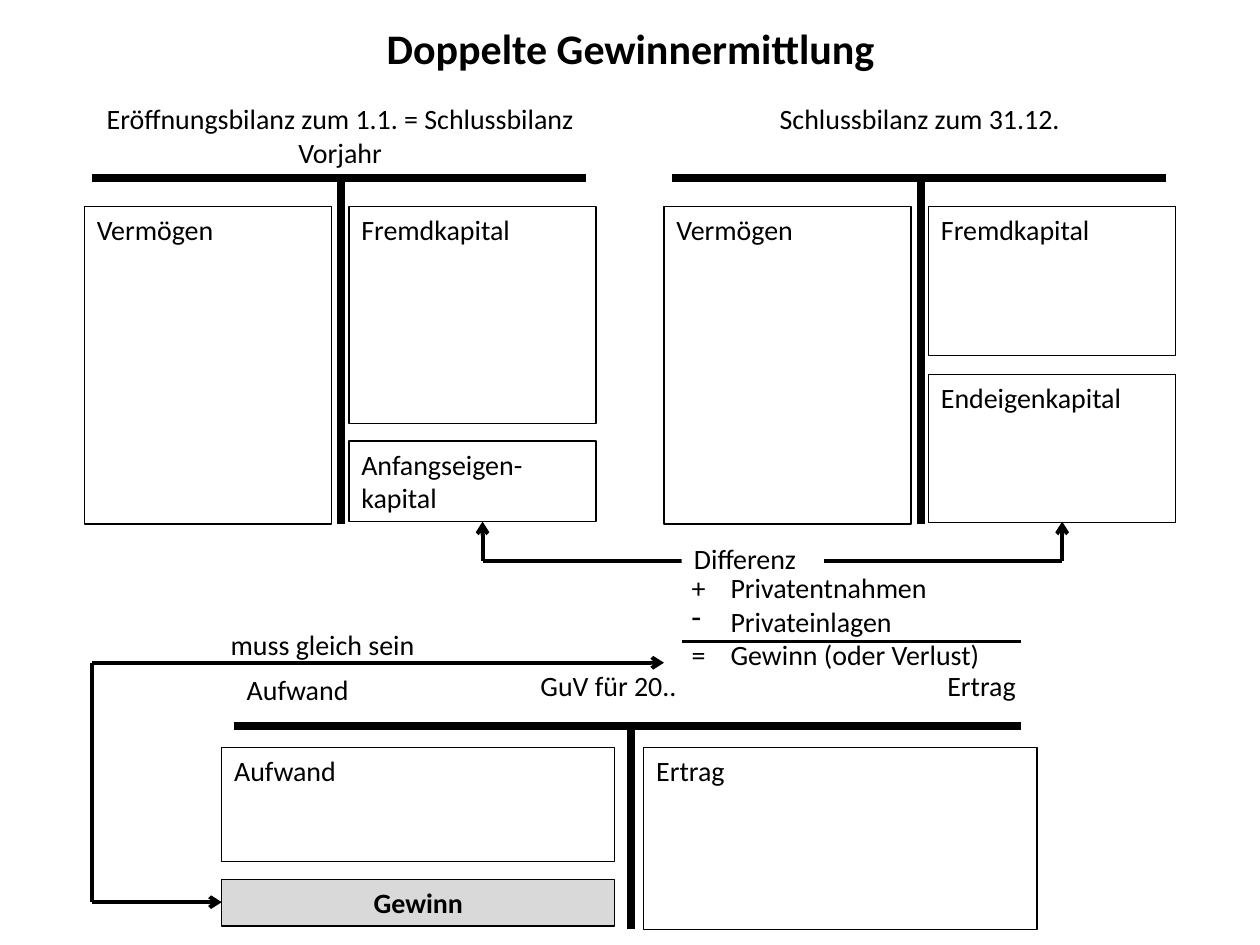
from pptx import Presentation
from pptx.dml.color import RGBColor
from pptx.enum.shapes import MSO_CONNECTOR as CONN, MSO_SHAPE as SHAPE
from pptx.enum.text import MSO_ANCHOR as ANCHOR, PP_ALIGN as ALIGN
from pptx.oxml.ns import qn
from pptx.util import Inches, Pt
from lxml import etree

COLORS = {"ink": "000000", "paper": "FFFFFF", "profit": "D9D9D9"}
FONT = "Calibri"
THICK, MEDIUM, RULE, THIN = 4.5, 2.25, 1.5, 0.75


def rgb(name):
    return RGBColor.from_string(COLORS[name])


class Board:
    def __init__(self, prs):
        self.s = prs.slides.add_slide(prs.slide_layouts[5])

    def fill_text(self, tf, lines, size=16, bold=False, align=ALIGN.LEFT):
        tf.word_wrap = True
        tf.vertical_anchor = ANCHOR.TOP
        for i, line in enumerate(lines):
            p = tf.paragraphs[0] if i == 0 else tf.add_paragraph()
            p.alignment = align
            r = p.add_run()
            r.text = line
            r.font.name, r.font.size, r.font.bold = FONT, Pt(size), bold
            r.font.color.rgb = rgb("ink")

    def title(self, text, x, y, w, h):
        sp = self.s.shapes.title
        sp.left, sp.top, sp.width, sp.height = map(Inches, (x, y, w, h))
        self.fill_text(sp.text_frame, [text], 24, True, ALIGN.CENTER)

    def text(self, lines, x, y, w, h, align=ALIGN.LEFT):
        sp = self.s.shapes.add_textbox(*map(Inches, (x, y, w, h)))
        self.fill_text(sp.text_frame, lines, align=align)
        return sp

    def box(self, text, x, y, w, h, fill=None, border=True, **style):
        sp = self.s.shapes.add_shape(SHAPE.RECTANGLE, *map(Inches, (x, y, w, h)))
        sp.shadow.inherit = False
        if fill:
            sp.fill.solid()
            sp.fill.fore_color.rgb = rgb(fill)
        else:
            sp.fill.background()
        if border:
            sp.line.color.rgb = rgb("ink")
            sp.line.width = Pt(THIN)
        else:
            sp.line.fill.background()
        self.fill_text(sp.text_frame, [text], **style)

    def line(self, x1, y1, x2, y2, width, arrow=False):
        c = self.s.shapes.add_connector(CONN.STRAIGHT, *map(Inches, (x1, y1, x2, y2)))
        c.line.color.rgb = rgb("ink")
        c.line.width = Pt(width)
        spPr = c._element.spPr
        if arrow:
            etree.SubElement(spPr.find(qn("a:ln")), qn("a:tailEnd"), type="arrow")
        etree.SubElement(spPr, qn("a:effectLst"))

    def hang(self, p, indent, bullet=None):
        pPr = p._p.get_or_add_pPr()
        pPr.set("marL", str(Inches(indent)))
        pPr.set("indent", str(-Inches(indent)))
        if bullet:
            etree.SubElement(pPr, qn("a:buChar"), char=bullet)

    def t_account(self, x1, x2, middle, top, bottom):
        self.line(x1, top, x2, top, THICK)
        self.line(middle, top, middle, bottom, THICK)

    def balance(self, x, heading, heading_h, debt_h, equity, equity_y, equity_h):
        self.t_account(x, x + 3.92, x + 1.98, 1.41, 4.16)
        self.text([heading], x, 0.76, 3.94, heading_h, ALIGN.CENTER)
        self.box("Vermögen", x - 0.06, 1.64, 1.96, 2.52)
        self.box("Fremdkapital", x + 2.04, 1.64, 1.96, debt_h)
        self.box(equity, x + 2.04, equity_y, 1.96, equity_h)


prs = Presentation()
prs.slide_width, prs.slide_height = Inches(10), Inches(7.5)
board = Board(prs)
board.title("Doppelte Gewinnermittlung", 0.28, 0.13, 9.45, 0.5)

# Opening and closing balance sheets
board.balance(0.73, "Eröffnungsbilanz zum 1.1. = Schlussbilanz Vorjahr", 0.64,
              1.72, "Anfangseigen-kapital", 3.5, 0.64)
board.balance(5.33, "Schlussbilanz zum 31.12.", 0.37,
              1.18, "Endeigenkapital", 2.97, 1.18)

# Profit and loss account
board.t_account(1.86, 8.1, 5.01, 5.76, 7.37)
board.box("Aufwand", 1.76, 5.93, 3.12, 0.91)
board.box("Ertrag", 5.11, 5.93, 3.12, 1.45)
board.text(["Aufwand"], 1.86, 5.29, 3.15, 0.37)
board.text(["Ertrag"], 5.01, 5.26, 3.15, 0.37, ALIGN.RIGHT)
board.box("Gewinn", 1.76, 6.98, 3.12, 0.37, fill="profit", bold=True, align=ALIGN.CENTER)
board.text(["GuV für 20.."], 3.81, 5.26, 2.04, 0.37, ALIGN.CENTER)

# Difference between the two equity positions
for x in (3.83, 8.43):
    board.line(x, 4.45, x, 4.14, MEDIUM, arrow=True)
board.line(3.83, 4.45, 8.43, 4.45, MEDIUM)
board.box("Differenz", 5.41, 4.25, 1.13, 0.37, fill="paper", border=False)

# Reconciliation to profit
steps = board.text(["+\tPrivatentnahmen", "Privateinlagen", "=\tGewinn (oder Verlust)"],
                   5.39, 4.48, 3.04, 0.91)
for p, bullet in zip(steps.text_frame.paragraphs, (None, "-", None)):
    board.hang(p, 0.31, bullet)
board.line(5.41, 5.09, 8.1, 5.09, RULE)

# Link between both profit figures
board.line(0.73, 5.26, 5.27, 5.26, MEDIUM, arrow=True)
board.line(0.73, 5.26, 0.73, 7.16, MEDIUM)
board.line(0.73, 7.16, 1.76, 7.16, MEDIUM, arrow=True)
board.text(["muss gleich sein"], 1.3, 4.93, 2.52, 0.37, ALIGN.CENTER)

prs.save("out.pptx")
